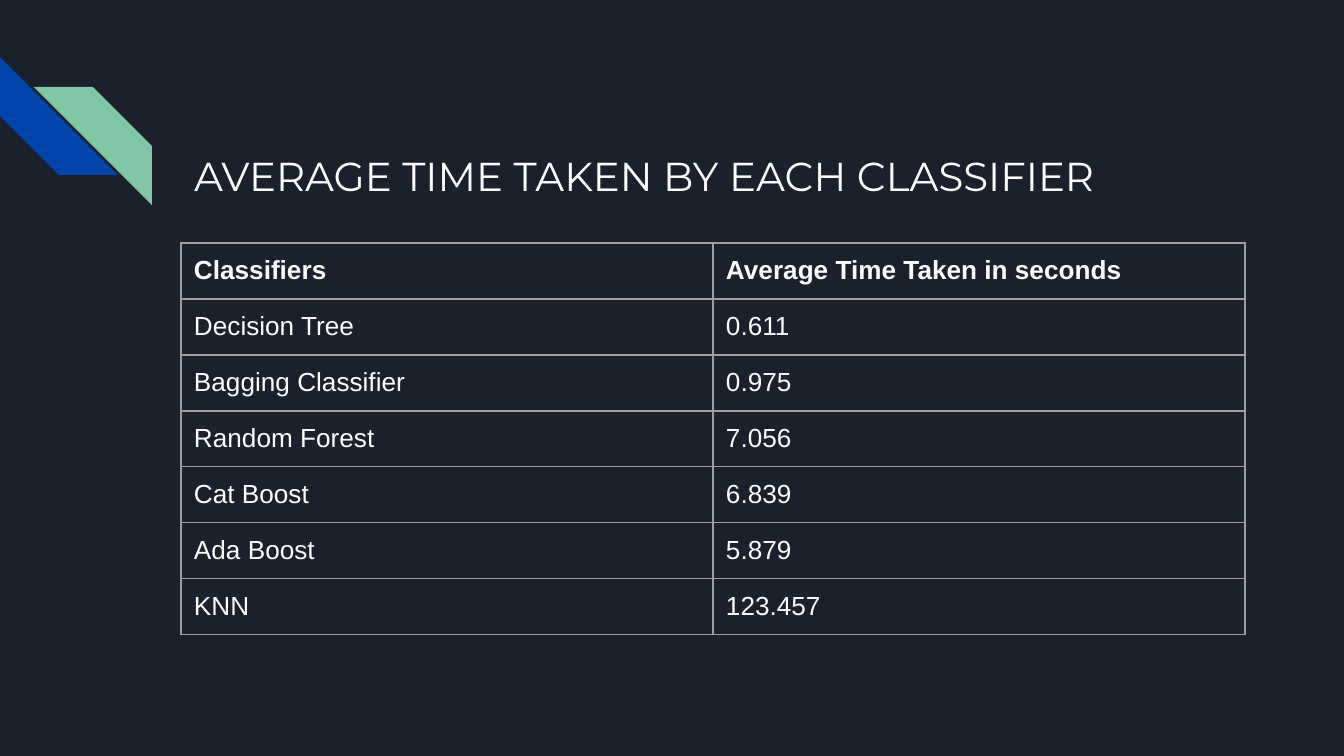
import pptx
import pptx.dml.color
import pptx.enum.shapes
import pptx.enum.text
import pptx.oxml
import pptx.oxml.ns
import pptx.util

# Content
TITLE = "AVERAGE TIME TAKEN BY EACH CLASSIFIER"
ROWS = [
    ("Classifiers", "Average Time Taken in seconds"),
    ("Decision Tree", "0.611"),
    ("Bagging Classifier", "0.975"),
    ("Random Forest", "7.056"),
    ("Cat Boost", "6.839"),
    ("Ada Boost", "5.879"),
    ("KNN", "123.457"),
]
BACKGROUND, WHITE, BORDER = "1B212C", "FFFFFF", "9E9E9E"
BLUE, GREEN = "0145AC", "82C7A5"

# Layout in px
LEFT, TABLE_TOP = 181, 243
COL_W, ROW_H = 532, 56
STRIPE, INSET = 118, 13


def px(n):
    return pptx.util.Emu(round(n * 914400 / 134.4))


def rgb(value):
    return pptx.dml.color.RGBColor.from_string(value)


def write(tf, text, font="Arial", size=14, color=WHITE, bold=False):
    tf.margin_left = tf.margin_right = tf.margin_top = tf.margin_bottom = px(INSET)
    p = tf.paragraphs[0]
    p.alignment = pptx.enum.text.PP_ALIGN.LEFT
    r = p.add_run()
    r.text = text
    r.font.name, r.font.size, r.font.bold = font, pptx.util.Pt(size), bold
    r.font.color.rgb = rgb(color)


def add_stripe(s, x, y, color, rotation=0, flip=False):
    sp = s.shapes.add_shape(pptx.enum.shapes.MSO_SHAPE.DIAGONAL_STRIPE,
                            px(x), px(y), px(STRIPE), px(STRIPE))
    sp.adjustments[0] = 0.5
    sp.rotation = rotation
    if flip:
        sp._element.spPr.xfrm.set("flipH", "1")
    sp.fill.solid()
    sp.fill.fore_color.rgb = rgb(color)
    sp.line.fill.background()
    sp.shadow.inherit = False


def add_borders(cell):
    tcPr = cell._tc.get_or_add_tcPr()
    for side in ("lnL", "lnR", "lnT", "lnB"):
        tcPr.append(pptx.oxml.parse_xml(
            f'<a:{side} {pptx.oxml.ns.nsdecls("a")} w="{pptx.util.Pt(0.75)}">'
            f'<a:solidFill><a:srgbClr val="{BORDER}"/></a:solidFill></a:{side}>'))


prs = pptx.Presentation()
prs.slide_width, prs.slide_height = px(1344), px(756)
s = prs.slides.add_slide(prs.slide_layouts[5])
s.background.fill.solid()
s.background.fill.fore_color.rgb = rgb(BACKGROUND)

# Corner stripes
add_stripe(s, 0, 57, BLUE, rotation=270)
add_stripe(s, 34, 87, GREEN, flip=True)

# Title
title = s.shapes.title
title.left, title.top, title.width, title.height = px(LEFT), px(138), px(1047), px(66)
tf = title.text_frame
tf.word_wrap = True
tf.auto_size = pptx.enum.text.MSO_AUTO_SIZE.NONE
tf.vertical_anchor = pptx.enum.text.MSO_ANCHOR.TOP
write(tf, TITLE, font="Montserrat", size=21.6)

# Table of times
n_rows, n_cols = len(ROWS), len(ROWS[0])
table = s.shapes.add_table(n_rows, n_cols, px(LEFT), px(TABLE_TOP),
                           px(COL_W * n_cols), px(ROW_H * n_rows)).table
table.first_row = table.horz_banding = False
for col in table.columns:
    col.width = px(COL_W)
for i, row in enumerate(ROWS):
    table.rows[i].height = px(ROW_H)
    for j, text in enumerate(row):
        cell = table.cell(i, j)
        cell.margin_left = cell.margin_right = px(INSET)
        cell.margin_top = cell.margin_bottom = px(INSET)
        add_borders(cell)
        cell.fill.background()
        write(cell.text_frame, text, bold=i == 0)

prs.save("out.pptx")
